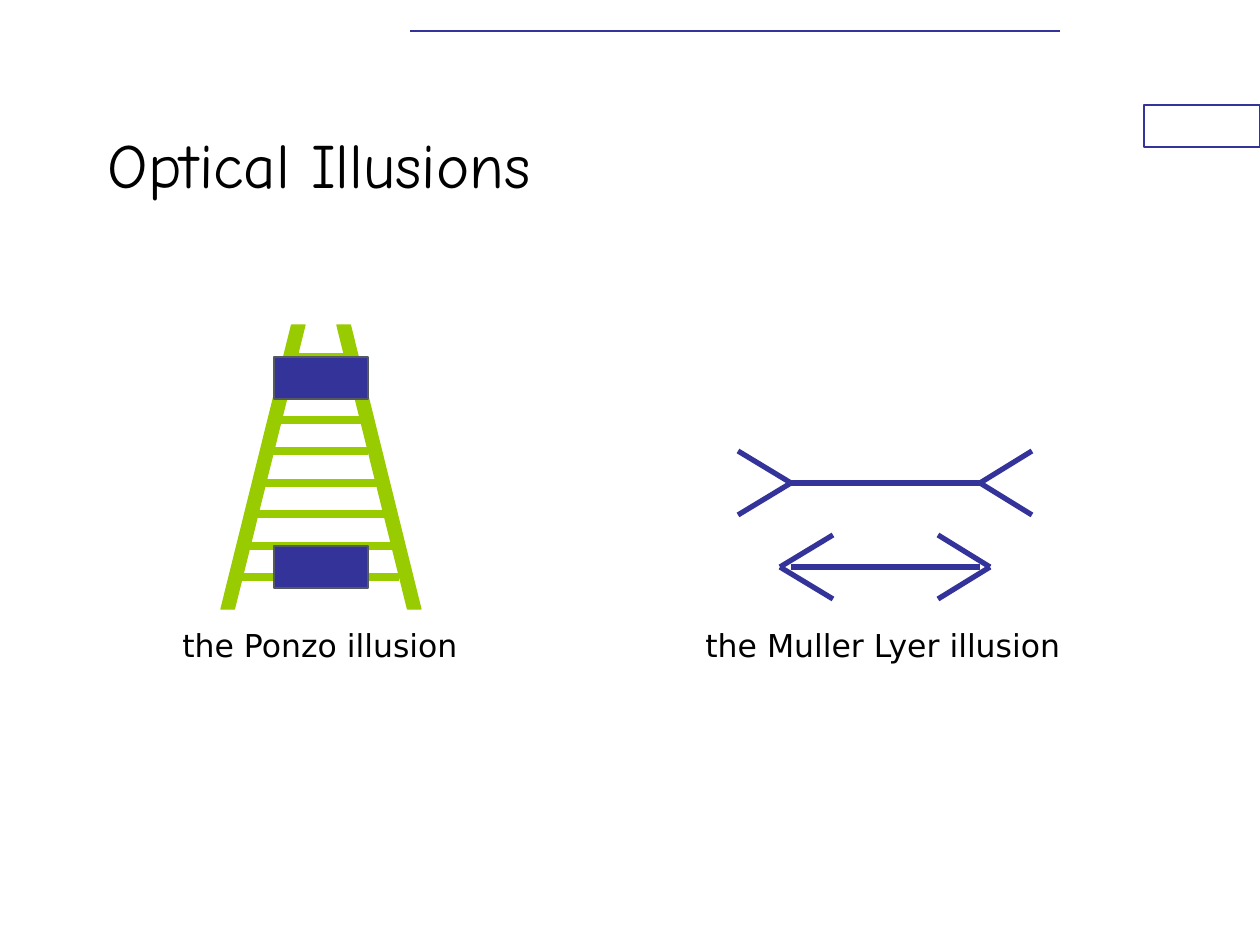
from lxml import etree
from pptx import Presentation
from pptx.dml.color import RGBColor
from pptx.enum.shapes import MSO_CONNECTOR, MSO_SHAPE
from pptx.enum.text import MSO_ANCHOR, PP_ALIGN
from pptx.oxml.ns import qn
from pptx.util import Emu, Pt

RECT = MSO_SHAPE.RECTANGLE
SLANT = MSO_SHAPE.PARALLELOGRAM
LINE = MSO_CONNECTOR.STRAIGHT
MIDDLE = MSO_ANCHOR.MIDDLE
LEFT = PP_ALIGN.LEFT
BLUE, GREEN, GRAY = "333399", "99CC00", "555A5E"
PX = 914400 / 126


def px(*nums):
    return [Emu(round(n * PX)) for n in nums]


def color(code):
    return RGBColor.from_string(code)


deck = Presentation()
deck.slide_width, deck.slide_height = px(1260, 945)
slide = deck.slides.add_slide(deck.slide_layouts[5])
shapes = slide.shapes

title = shapes.title
title.left, title.top, title.width, title.height = px(95, 84, 945, 158)
title.text_frame.vertical_anchor = MIDDLE
texts = [(title, "Optical Illusions", "Comic Neue", 36)]
for label, box in [
    ("the Ponzo illusion", (170, 620, 302, 50)),
    ("the Muller Lyer illusion", (693, 620, 384, 50)),
]:
    note = shapes.add_textbox(*px(*box))
    note.text_frame.word_wrap = False
    texts.append((note, label, "DejaVu Sans", 18))
for shape, words, face, size in texts:
    para = shape.text_frame.paragraphs[0]
    para.alignment = LEFT
    run = para.add_run()
    run.text = words
    run.font.name = face
    run.font.size = Pt(size)
    run.font.color.rgb = color("000000")

rungs = [
    (0, 232, 399), (1, 242, 399), (2, 253, 389), (3, 263, 379),
    (4, 273, 368), (5, 273, 368), (7, 295, 348),
]
lines = [(410, 31, 1060, 31, BLUE, 1)]
for step, start, end in rungs:
    high = 577 - step * 63 // 2
    lines.append((start, high, end, high, GREEN, 4.5))
for mid, fins in [
    (483, [(980, 1032), (791, 738)]),
    (567, [(990, 938), (780, 833)]),
]:
    for tip, end in fins:
        for rise in (-32, 32):
            lines.append((tip, mid, end, mid + rise, BLUE, 3))
    lines.append((980, mid, 791, mid, BLUE, 3))

for *ends, tint, width in lines:
    line = shapes.add_connector(LINE, *px(*ends))
    line.line.color.rgb = color(tint)
    line.line.width = Pt(width)
    etree.SubElement(line._element.spPr, qn("a:effectLst"))

for kind, box, fill, edge, flip in [
    (RECT, (1144, 105, 116, 42), "FFFFFF", BLUE, False),
    (SLANT, (221, 325, 84, 284), GREEN, GREEN, False),
    (SLANT, (337, 325, 84, 284), GREEN, GREEN, True),
    (RECT, (274, 546, 94, 42), BLUE, GRAY, False),
    (RECT, (274, 357, 94, 42), BLUE, GRAY, False),
]:
    shape = shapes.add_shape(kind, *px(*box))
    shape.shadow.inherit = False
    shape.fill.solid()
    shape.fill.fore_color.rgb = color(fill)
    shape.line.color.rgb = color(edge)
    shape.line.width = Pt(0.75)
    if kind == SLANT:
        shape.adjustments[0] = 0.84
    if flip:
        shape._element.spPr.xfrm.set("flipH", "1")

deck.save("out.pptx")
